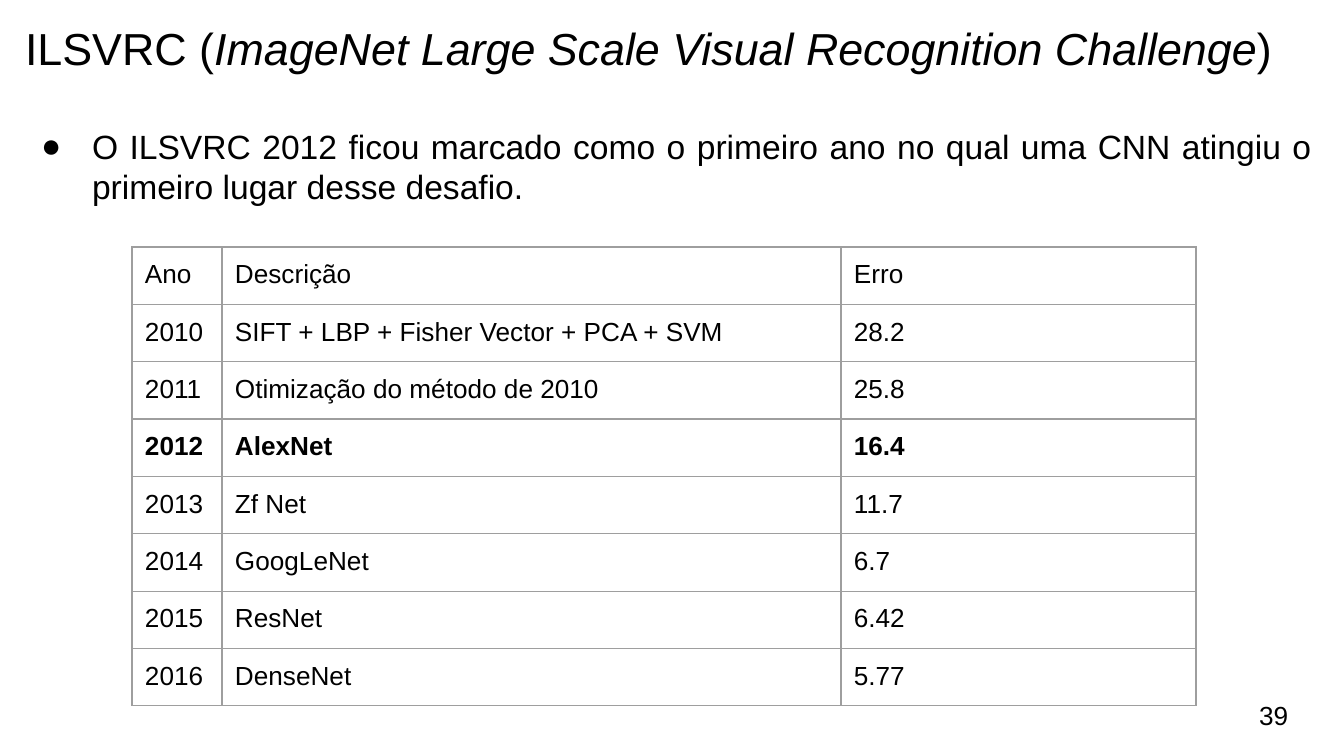
"""Build the ILSVRC results slide."""
from lxml.etree import SubElement
from pptx import Presentation
from pptx.dml.color import RGBColor
from pptx.enum.text import MSO_ANCHOR as Anchor, PP_ALIGN as Align
from pptx.oxml.ns import qn
from pptx.util import Emu, Pt

EMU_PER_INCH = 914400
PX_PER_INCH = 134.4
INSET = 13
FONT = "Arial"
COLORS = {"text": "000000", "border": "9E9E9E"}
TITLE = [
    ("ILSVRC (", False),
    ("ImageNet Large Scale Visual Recognition Challenge", True),
    (")", False),
]
STATEMENT = (
    "O ILSVRC 2012 ficou marcado como o primeiro ano no qual uma CNN "
    "atingiu o primeiro lugar desse desafio."
)
COLUMN_WIDTHS = [90, 619, 355]
ROW_HEIGHT = 56
HIGHLIGHT_YEAR = "2012"
RESULTS = [
    ("Ano", "Descrição", "Erro"),
    ("2010", "SIFT + LBP + Fisher Vector + PCA + SVM", "28.2"),
    ("2011", "Otimização do método de 2010", "25.8"),
    ("2012", "AlexNet", "16.4"),
    ("2013", "Zf Net", "11.7"),
    ("2014", "GoogLeNet", "6.7"),
    ("2015", "ResNet", "6.42"),
    ("2016", "DenseNet", "5.77"),
]


def px(length):
    """Turn pixels into EMU."""
    return Emu(round(length * EMU_PER_INCH / PX_PER_INCH))


def place(shape, left, top, width, height):
    """Move and size a shape in pixels."""
    shape.left, shape.top = px(left), px(top)
    shape.width, shape.height = px(width), px(height)


def set_font(paragraph, size, bold=False):
    """Set the font of a whole paragraph."""
    font = paragraph.font
    font.name, font.size, font.bold = FONT, Pt(size), bold
    font.color.rgb = RGBColor.from_string(COLORS["text"])


def set_insets(box):
    """Give a text frame or cell equal margins."""
    box.margin_left = box.margin_right = px(INSET)
    box.margin_top = box.margin_bottom = px(INSET)


def format_frame(frame, anchor):
    """Set wrapping, margins and anchor of a text frame."""
    frame.word_wrap = True
    frame.vertical_anchor = anchor
    set_insets(frame)


def add_title(slide):
    """Fill the title, with the challenge name in italics."""
    title = slide.shapes.title
    place(title, 12, 5, 1297, 85)
    format_frame(title.text_frame, Anchor.MIDDLE)
    heading = title.text_frame.paragraphs[0]
    heading.alignment = Align.LEFT
    for text, italic in TITLE:
        part = heading.add_run()
        part.text = text
        part.font.italic = italic
    set_font(heading, 24)


def add_bullet(paragraph, indent, hanging):
    """Give a paragraph a round bullet and a hanging indent."""
    properties = paragraph._p.get_or_add_pPr()
    properties.set("marL", str(px(indent)))
    properties.set("indent", str(-px(hanging)))
    color = SubElement(properties, qn("a:buClr"))
    SubElement(color, qn("a:srgbClr"), val=COLORS["text"])
    SubElement(properties, qn("a:buFont"), typeface=FONT)
    SubElement(properties, qn("a:buChar"), char="●")


def add_statement(slide):
    """Fill the body with the justified statement."""
    body = slide.placeholders[1]
    place(body, 12, 113, 1313, 114)
    format_frame(body.text_frame, Anchor.TOP)
    statement = body.text_frame.paragraphs[0]
    statement.text = STATEMENT
    statement.alignment = Align.JUSTIFY
    statement.space_before, statement.space_after = Pt(0), Pt(10)
    add_bullet(statement, 67, 51)
    set_font(statement, 18)


def add_borders(cell):
    """Draw a thin line on each side of a cell."""
    properties = cell._tc.get_or_add_tcPr()
    for side in ("lnL", "lnR", "lnT", "lnB"):
        line = SubElement(properties, qn(f"a:{side}"), w=str(Pt(0.75)))
        fill = SubElement(line, qn("a:solidFill"))
        SubElement(fill, qn("a:srgbClr"), val=COLORS["border"])


def add_results(slide):
    """Add the table of yearly results."""
    table = slide.shapes.add_table(
        len(RESULTS), len(COLUMN_WIDTHS), px(132), px(247),
        px(sum(COLUMN_WIDTHS)), px(ROW_HEIGHT * len(RESULTS)),
    ).table
    table.first_row = table.horz_banding = False
    for column, width in zip(table.columns, COLUMN_WIDTHS):
        column.width = px(width)
    for row, result in zip(table.rows, RESULTS):
        row.height = px(ROW_HEIGHT)
        for cell, text in zip(row.cells, result):
            cell.text = text
            set_insets(cell)
            add_borders(cell)
            cell.fill.background()
            set_font(cell.text_frame.paragraphs[0], 14, result[0] == HIGHLIGHT_YEAR)


def add_page_number(slide):
    """Add the page number at the lower right."""
    frame = slide.shapes.add_textbox(px(1246), px(686), px(81), px(58)).text_frame
    format_frame(frame, Anchor.MIDDLE)
    number = frame.paragraphs[0]
    number.text = "39"
    set_font(number, 14)


def main():
    """Build and save the slide."""
    deck = Presentation()
    deck.slide_width, deck.slide_height = px(1344), px(756)
    slide = deck.slides.add_slide(deck.slide_layouts[1])
    add_title(slide)
    add_page_number(slide)
    add_results(slide)
    add_statement(slide)
    deck.save("out.pptx")


if __name__ == "__main__":
    main()
